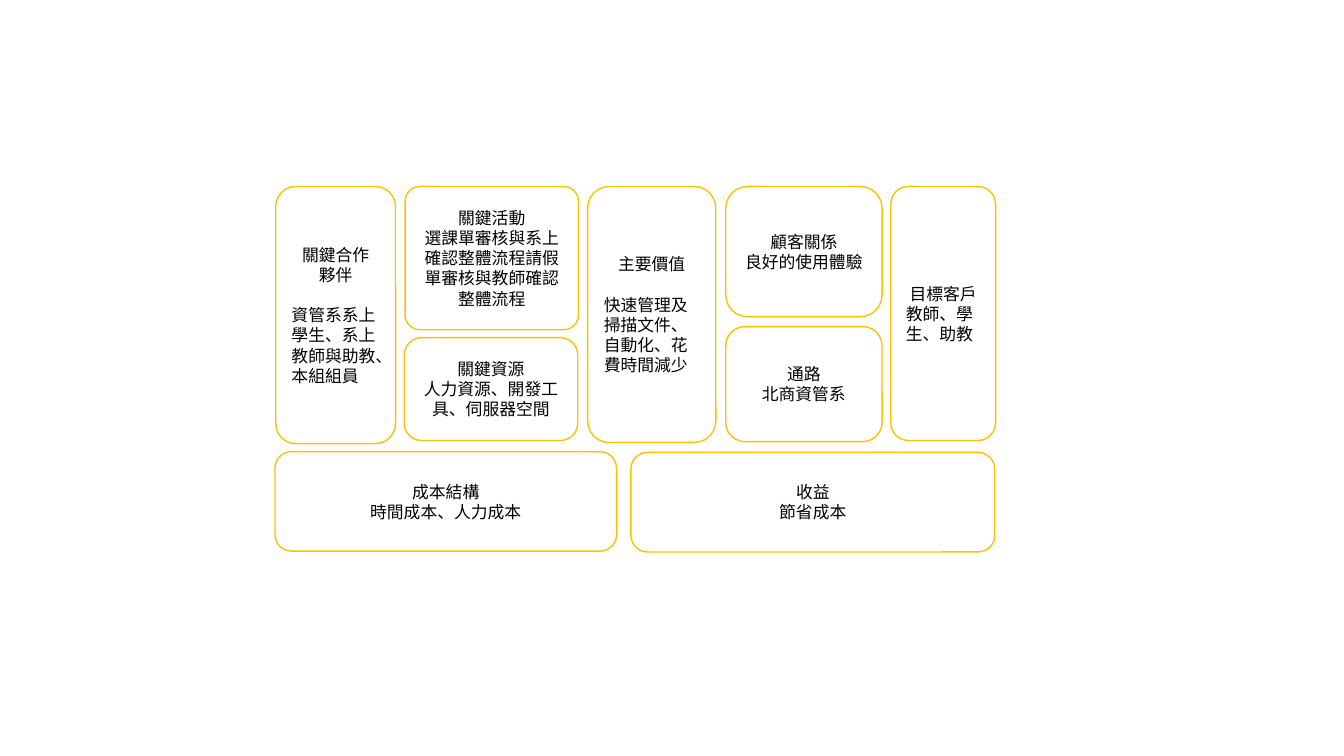
from lxml import etree
from pptx import Presentation
from pptx.dml.color import RGBColor
from pptx.enum.shapes import MSO_SHAPE
from pptx.enum.text import MSO_ANCHOR, PP_ALIGN
from pptx.oxml.ns import qn
from pptx.util import Cm, Pt

ROUNDED = MSO_SHAPE.ROUNDED_RECTANGLE
MIDDLE = MSO_ANCHOR.MIDDLE
CENTER, LEFT = PP_ALIGN.CENTER, PP_ALIGN.LEFT
WHITE = RGBColor(0xFF, 0xFF, 0xFF)
BLACK = RGBColor(0, 0, 0)
GOLD = RGBColor(0xFF, 0xC0, 0x00)
FONT = "Noto Sans CJK SC"
TEXT_FORMAT = {"size": Pt(12), "name": FONT}
LINE_GAP = Pt(14.4)
NO_GAP = Pt(0)
TOP = 4.7
CORNER = 0.167

blocks = [
    ((14.81, TOP, 3.23, 6.45), CORNER, ["主要價值"],
     "快速管理及掃描文件、自動化、花費時間減少", LINE_GAP),
    ((18.29, TOP, 3.94, 3.28), CORNER, ["顧客關係", "良好的使用體驗"], None, NO_GAP),
    ((22.45, TOP, 2.64, 6.4), CORNER, ["目標客戶"], "教師、學生、助教", NO_GAP),
    ((6.95, TOP, 3.02, 6.48), CORNER, ["關鍵合作", "夥伴"],
     "資管系系上學生、系上教師與助教、本組組員", LINE_GAP),
    ((10.21, TOP, 4.37, 3.61), 0.103,
     ["關鍵活動", "選課單審核與系上確認整體流程請假單審核與教師確認整體流程"], None, NO_GAP),
    ((10.19, 8.51, 4.37, 2.59), CORNER,
     ["關鍵資源", "人力資源、開發工具、伺服器空間"], None, NO_GAP),
    ((6.93, 11.38, 8.61, 2.51), CORNER, ["成本結構", "時間成本、人力成本"], None, NO_GAP),
    ((18.29, 8.23, 3.94, 2.9), CORNER, ["通路", "北商資管系"], None, NO_GAP),
    ((15.9, 11.4, 9.17, 2.51), CORNER, ["收益", "節省成本"], None, NO_GAP),
]


def write_paragraph(paragraph, wording, alignment, gap):
    paragraph.alignment = alignment
    paragraph.space_before = gap
    run = paragraph.add_run()
    run.text = wording
    for attribute, value in TEXT_FORMAT.items():
        setattr(run.font, attribute, value)
    run.font.color.rgb = BLACK
    east_asian = etree.SubElement(run.font._element, qn("a:ea"))
    east_asian.set("typeface", FONT)


prs = Presentation()
prs.slide_width = Cm(33.87)
prs.slide_height = Cm(19.05)
canvas = prs.slides.add_slide(prs.slide_layouts[6])

for bounds, corner, centred_lines, body, body_gap in blocks:
    block = canvas.shapes.add_shape(ROUNDED, *map(Cm, bounds))
    block.adjustments[0] = corner
    block.shadow.inherit = False
    block.fill.solid()
    block.fill.fore_color.rgb = WHITE
    block.line.color.rgb = GOLD
    block.line.width = Pt(1)

    frame = block.text_frame
    frame.word_wrap = True
    frame.vertical_anchor = MIDDLE
    lines = [(wording, CENTER, NO_GAP) for wording in centred_lines]
    if body:
        lines.append((body, LEFT, body_gap))
    for index, line in enumerate(lines):
        paragraph = frame.add_paragraph() if index else frame.paragraphs[0]
        write_paragraph(paragraph, *line)

prs.save("out.pptx")
